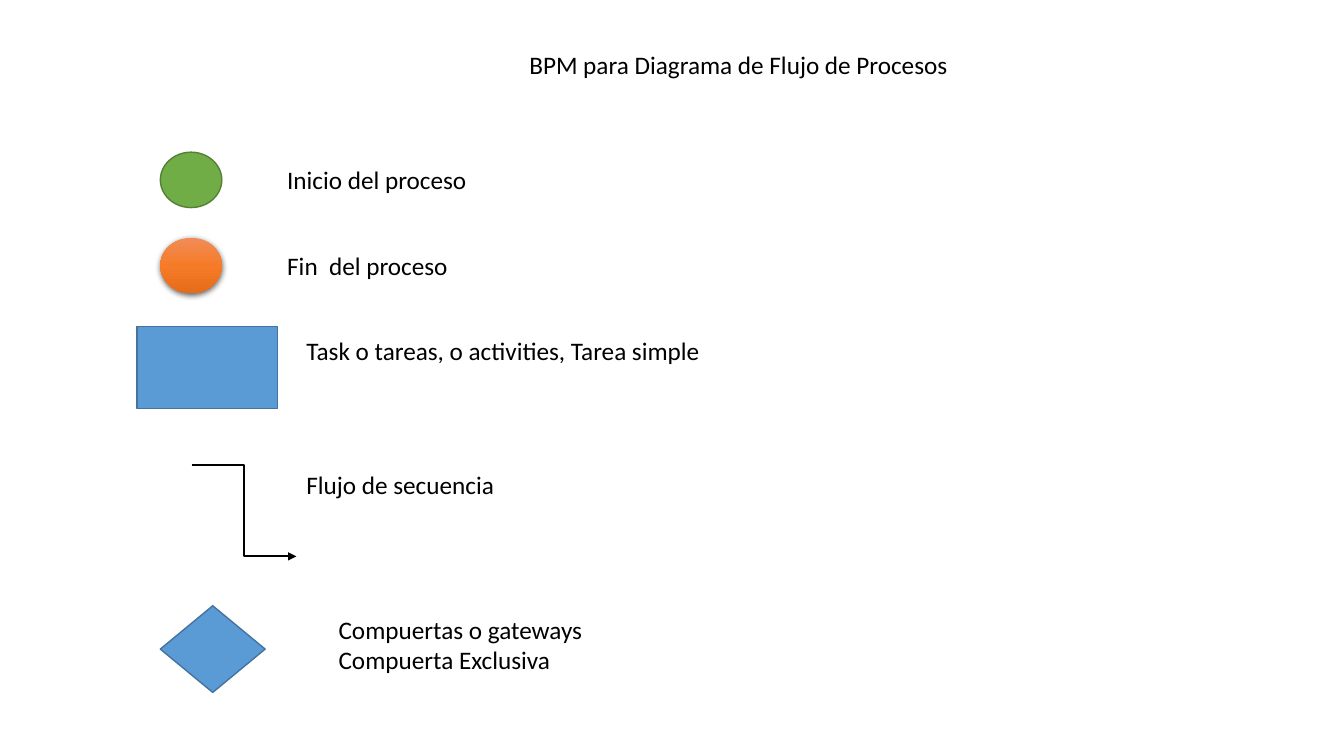
from copy import deepcopy

from lxml.etree import SubElement
from pptx import Presentation
from pptx.dml.color import RGBColor
from pptx.enum.shapes import MSO_CONNECTOR, MSO_SHAPE
from pptx.enum.text import MSO_ANCHOR, MSO_AUTO_SIZE, PP_ALIGN
from pptx.oxml.ns import qn
from pptx.util import Inches, Pt

BLACK = "000000"
BLUE, BLUE_EDGE = "5B9BD5", "43739E"
GREEN, GREEN_EDGE = "70AD47", "538035"
ORANGE_STOPS = [(0, "F18C57"), (0.5, "F67B28"), (1, "E56C19")]


def color(hex_text):
    return RGBColor.from_string(hex_text)


def write_text(box, text, wrap=False):
    frame = box.text_frame
    frame.text = text
    frame.word_wrap = wrap
    frame.auto_size = MSO_AUTO_SIZE.SHAPE_TO_FIT_TEXT
    frame.vertical_anchor = MSO_ANCHOR.TOP
    for para in frame.paragraphs:
        para.alignment = PP_ALIGN.LEFT
        for span in para.runs:
            span.font.name = "Calibri"
            span.font.size = Pt(18)
            span.font.color.rgb = color(BLACK)


def set_title(slide, text, left, top, width, height):
    title = slide.shapes.title
    title.left, title.top = Inches(left), Inches(top)
    title.width, title.height = Inches(width), Inches(height)
    write_text(title, text)


def add_label(slide, text, left, top, width, height=0.4, wrap=False):
    box = slide.shapes.add_textbox(
        Inches(left), Inches(top), Inches(width), Inches(height))
    write_text(box, text, wrap)


def add_symbol(slide, kind, left, top, width, height):
    symbol = slide.shapes.add_shape(
        kind, Inches(left), Inches(top), Inches(width), Inches(height))
    symbol.shadow.inherit = False
    return symbol


def paint_flat(symbol, fill, edge):
    symbol.fill.solid()
    symbol.fill.fore_color.rgb = color(fill)
    symbol.line.color.rgb = color(edge)
    symbol.line.width = Pt(1)


def paint_raised(symbol, stops):
    """Vertical gradient without outline, over a soft shadow."""
    symbol.line.fill.background()
    symbol.fill.gradient()
    symbol.fill.gradient_angle = 270
    properties = symbol._element.spPr
    stop_list = properties.find(".//" + qn("a:gsLst"))
    stop_list.append(deepcopy(stop_list[0]))
    for stop, (position, hex_text) in zip(symbol.fill.gradient_stops, stops):
        stop.position = position
        stop.color.rgb = color(hex_text)

    shadow = SubElement(
        properties.find(qn("a:effectLst")), qn("a:outerShdw"),
        blurRad=str(Pt(4.5)), dist=str(Pt(1.5)), dir="5400000",
        algn="ctr", rotWithShape="0")
    shade = SubElement(shadow, qn("a:srgbClr"), val=BLACK)
    SubElement(shade, qn("a:alpha"), val="63000")


def add_elbow_arrow(slide, x1, y1, x2, y2):
    arrow = slide.shapes.add_connector(
        MSO_CONNECTOR.ELBOW, Inches(x1), Inches(y1), Inches(x2), Inches(y2))
    arrow.line.color.rgb = color(BLACK)
    arrow.line.width = Pt(1.5)
    SubElement(arrow.line._get_or_add_ln(), qn("a:tailEnd"), type="triangle")
    SubElement(arrow._element.spPr, qn("a:effectLst"))


def main():
    deck = Presentation()
    deck.slide_width, deck.slide_height = Inches(13.33), Inches(7.5)
    page = deck.slides.add_slide(deck.slide_layouts[5])
    set_title(page, "BPM para Diagrama de Flujo de Procesos",
              5.15, 0.44, 4.4, 0.4)

    start = add_symbol(page, MSO_SHAPE.OVAL, 1.59, 1.51, 0.61, 0.55)
    paint_flat(start, GREEN, GREEN_EDGE)
    add_label(page, "Inicio del proceso", 2.75, 1.58, 2)

    end = add_symbol(page, MSO_SHAPE.OVAL, 1.59, 2.36, 0.61, 0.55)
    paint_raised(end, ORANGE_STOPS)
    add_label(page, "Fin  del proceso", 2.75, 2.43, 1.81)

    task = add_symbol(page, MSO_SHAPE.RECTANGLE, 1.36, 3.24, 1.39, 0.81)
    paint_flat(task, BLUE, BLUE_EDGE)
    add_label(page, "Task o tareas, o activities, Tarea simple",
              2.94, 3.28, 4.44, wrap=True)

    add_elbow_arrow(page, 1.9, 4.61, 2.94, 5.52)
    add_label(page, "Flujo de secuencia", 2.94, 4.61, 2.09)

    gateway = add_symbol(page, MSO_SHAPE.DIAMOND, 1.59, 6.01, 1.04, 0.86)
    paint_flat(gateway, BLUE, BLUE_EDGE)
    add_label(page, "Compuertas o gateways\nCompuerta Exclusiva",
              3.26, 6.04, 2.64, 0.71)

    deck.save("out.pptx")


if __name__ == "__main__":
    main()
